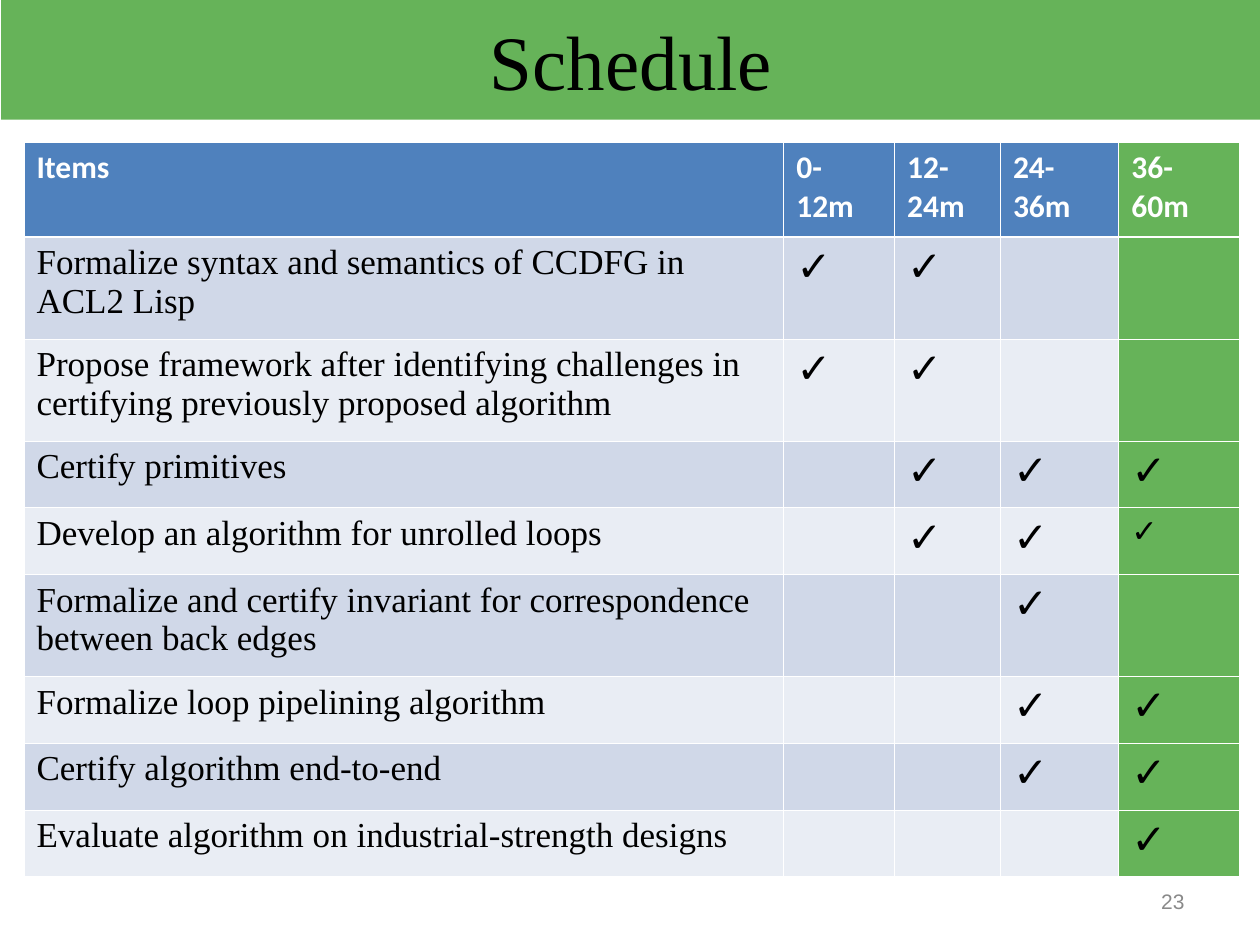
from typing import Any, NamedTuple

from lxml import etree
from pptx import Presentation
from pptx.dml.color import RGBColor
from pptx.enum import text
from pptx.oxml import ns
from pptx.util import Inches, Pt

COLORS = {
    "green": "66B359",
    "header": "4F81BD",
    "odd_row": "D0D8E8",
    "even_row": "E9EDF4",
    "white": "FFFFFF",
    "black": "000000",
    "gray": "898989",
}
FORMATS = {
    "title": {"name": "Times New Roman", "size": Pt(44), "bold": False},
    "header": {"name": "Calibri", "size": Pt(18), "bold": True},
    "item": {"name": "Times New Roman", "size": Pt(20), "bold": False},
    "check": {"name": "Arial", "size": Pt(24), "bold": False},
    "small_check": {"name": "Arial", "size": Pt(18), "bold": False},
    "number": {"name": "Arial", "size": Pt(12), "bold": False},
}


class Item(NamedTuple):
    label: str
    periods: tuple[int, ...]
    height: float = 0.53
    small: tuple[int, ...] = ()


HEADINGS = ["Items", "0-\n12m", "12-24m", "24-36m", "36-60m"]
COLUMN_WIDTHS = [6.03, 0.88, 0.84, 0.94, 0.96]
HEADER_HEIGHT = 0.75
ITEMS = [
    Item("Formalize syntax and semantics of CCDFG in ACL2 Lisp", (1, 2), 0.81),
    Item("Propose framework after identifying challenges in certifying "
         "previously proposed algorithm", (1, 2), 0.81),
    Item("Certify primitives", (2, 3, 4)),
    Item("Develop an algorithm for unrolled loops", (2, 3, 4), small=(4,)),
    Item("Formalize and certify invariant for correspondence between back edges",
         (3,), 0.81),
    Item("Formalize loop pipelining algorithm", (3, 4)),
    Item("Certify algorithm end-to-end", (3, 4)),
    Item("Evaluate algorithm on industrial-strength designs", (4,)),
]


def rgb(color: str) -> RGBColor:
    return RGBColor.from_string(COLORS[color])


def write(frame: Any, words: str, style: str, color: str = "black") -> None:
    frame.text = words
    for paragraph in frame.paragraphs:
        for run in paragraph.runs:
            for attribute, value in FORMATS[style].items():
                setattr(run.font, attribute, value)
            run.font.color.rgb = rgb(color)


def add_borders(cell: Any, top: float, bottom: float) -> None:
    properties = cell._tc.get_or_add_tcPr()
    widths = {"a:lnL": 0.45, "a:lnR": 0.45, "a:lnT": top, "a:lnB": bottom}
    for tag, width in widths.items():
        line = etree.SubElement(properties, ns.qn(tag), w=str(int(Pt(width))))
        fill = etree.SubElement(line, ns.qn("a:solidFill"))
        etree.SubElement(fill, ns.qn("a:srgbClr"), val=COLORS["white"])


def style_cell(cell: Any, row: int, column: int) -> None:
    add_borders(cell, 1.47 if row == 1 else 0.45, 1.47 if row == 0 else 0.45)
    if column == len(HEADINGS) - 1:
        color = "green"
    elif row == 0:
        color = "header"
    else:
        color = "odd_row" if row % 2 else "even_row"
    cell.fill.solid()
    cell.fill.fore_color.rgb = rgb(color)


def add_title(slide: Any, words: str) -> None:
    title = slide.shapes.title
    title.left, title.top = Inches(0.01), Inches(-0.01)
    title.width, title.height = Inches(10), Inches(0.96)
    title.fill.solid()
    title.fill.fore_color.rgb = rgb("green")
    title.text_frame.vertical_anchor = text.MSO_ANCHOR.MIDDLE
    write(title.text_frame, words, "title")
    title.text_frame.paragraphs[0].alignment = text.PP_ALIGN.CENTER


def add_schedule(slide: Any) -> None:
    heights = [HEADER_HEIGHT] + [item.height for item in ITEMS]
    table = slide.shapes.add_table(
        len(heights), len(HEADINGS), Inches(0.19), Inches(1.13),
        Inches(sum(COLUMN_WIDTHS)), Inches(sum(heights))).table
    for column, width in zip(table.columns, COLUMN_WIDTHS):
        column.width = Inches(width)
    for row, height in zip(table.rows, heights):
        row.height = Inches(height)

    # Fills and borders
    for row in range(len(heights)):
        for column in range(len(HEADINGS)):
            style_cell(table.cell(row, column), row, column)

    # Headings, item labels and check marks
    for column, heading in enumerate(HEADINGS):
        write(table.cell(0, column).text_frame, heading, "header", "white")
    for row, item in enumerate(ITEMS, start=1):
        write(table.cell(row, 0).text_frame, item.label, "item")
        for period in item.periods:
            style = "small_check" if period in item.small else "check"
            write(table.cell(row, period).text_frame, "✓", style)


def add_slide_number(slide: Any, number: str) -> None:
    box = slide.shapes.add_textbox(
        Inches(7.17), Inches(6.95), Inches(2.33), Inches(0.4))
    frame = box.text_frame
    frame.word_wrap = True
    frame.vertical_anchor = text.MSO_ANCHOR.MIDDLE
    write(frame, number, "number", "gray")
    frame.paragraphs[0].alignment = text.PP_ALIGN.RIGHT


def main() -> None:
    presentation = Presentation()
    presentation.slide_width, presentation.slide_height = Inches(10), Inches(7.5)
    slide = presentation.slides.add_slide(presentation.slide_layouts[5])
    add_title(slide, "Schedule")
    add_schedule(slide)
    add_slide_number(slide, "23")
    presentation.save("out.pptx")


if __name__ == "__main__":
    main()
